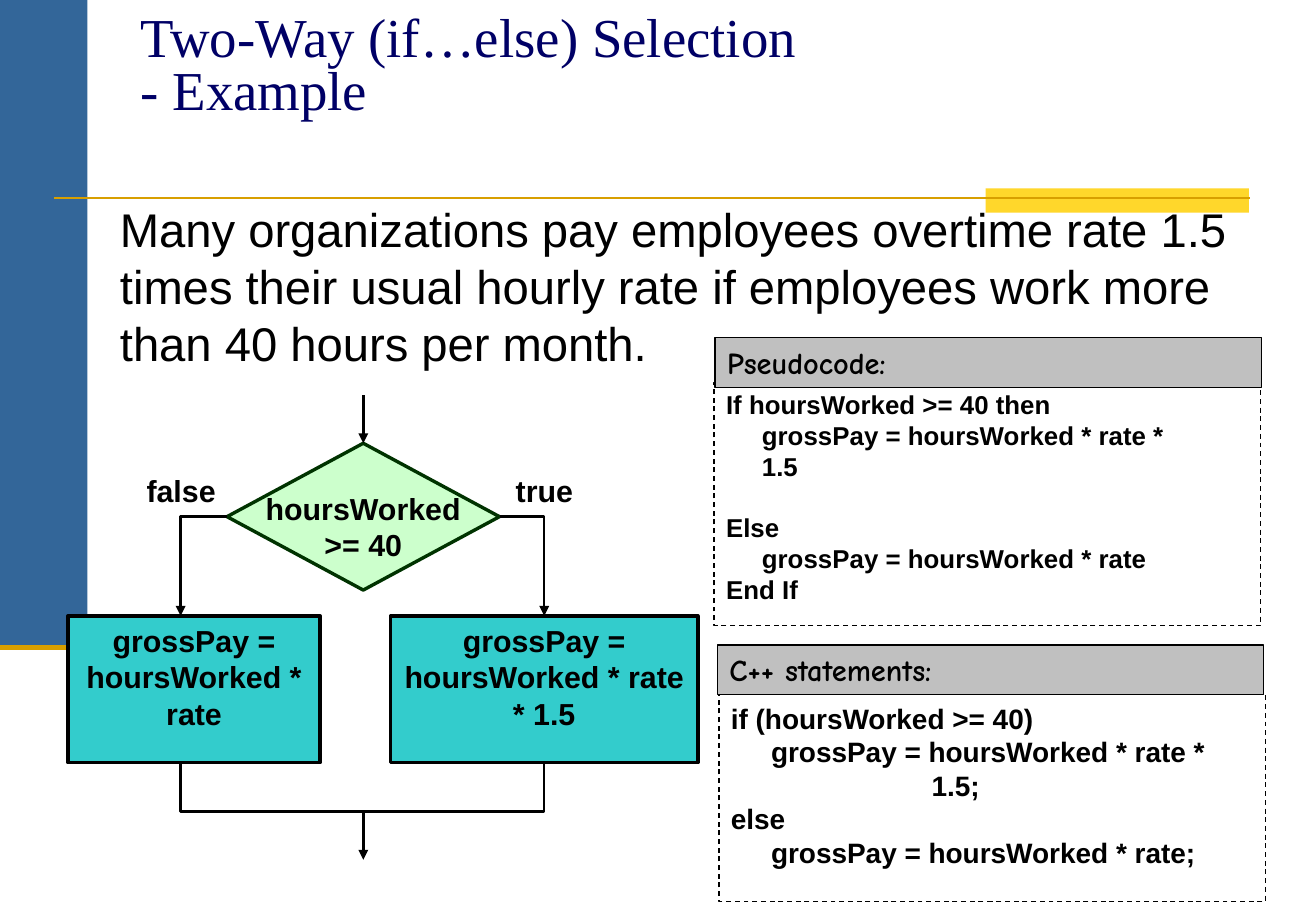
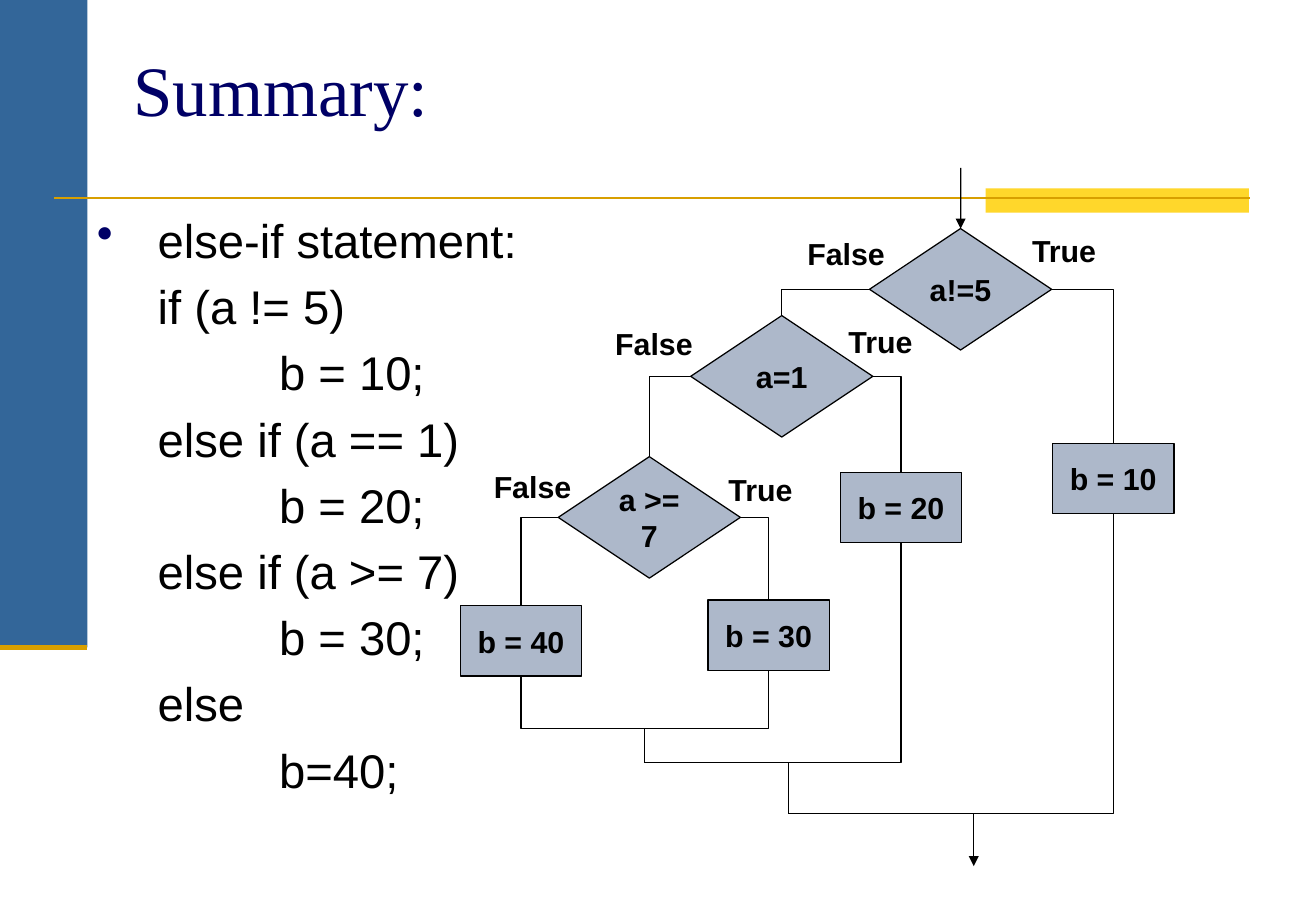
from lxml import etree
from pptx import Presentation
from pptx.dml.color import RGBColor
from pptx.enum import dml, shapes, text
from pptx.oxml.ns import qn
from pptx.util import Cm, Pt

BLACK = RGBColor(0x00, 0x00, 0x00)
WHITE = RGBColor(0xFF, 0xFF, 0xFF)
NAVY = RGBColor(0x00, 0x00, 0x66)
BLUE = RGBColor(0x33, 0x66, 0x99)
YELLOW = RGBColor(0xFF, 0xD7, 0x2B)
GOLD = RGBColor(0xD8, 0x9F, 0x00)
PALE_GREEN = RGBColor(0xCC, 0xFF, 0xCC)
DARK_GREEN = RGBColor(0x00, 0x33, 0x00)
TEAL = RGBColor(0x33, 0xCC, 0xCC)
GREY = RGBColor(0xC0, 0xC0, 0xC0)
STEEL = RGBColor(0xAD, 0xB8, 0xCA)

RECT = shapes.MSO_SHAPE.RECTANGLE
DIAMOND = shapes.MSO_SHAPE.FLOWCHART_DECISION
TOP, MIDDLE = text.MSO_ANCHOR.TOP, text.MSO_ANCHOR.MIDDLE
LEFT, CENTER = text.PP_ALIGN.LEFT, text.PP_ALIGN.CENTER


def put(s, words, at, kind=None, fill=None, line=None, width=0.75, dash=False,
        size=18, bold=True, font="Arial", color=BLACK, align=LEFT, anchor=TOP,
        wrap=True, top=0.13, spacing=None, before=0, step=0, gaps=(), bullet=False):
    """Place a title, text box or shape; leading tabs in a line set its indent."""
    at = [Cm(v) for v in at]
    if kind == "title":
        sp = s.shapes.title
        sp.left, sp.top, sp.width, sp.height = at
    elif kind is None:
        sp = s.shapes.add_textbox(*at)
    else:
        sp = s.shapes.add_shape(kind, *at)
        sp.shadow.inherit = False
        sp.fill.solid()
        sp.fill.fore_color.rgb = fill
        if line is None:
            sp.line.fill.background()
        else:
            sp.line.color.rgb = line
            sp.line.width = Pt(width)
            if dash:
                sp.line.dash_style = dml.MSO_LINE.DASH
    tf = sp.text_frame
    tf.auto_size = text.MSO_AUTO_SIZE.NONE
    tf.word_wrap, tf.vertical_anchor, tf.margin_top = wrap, anchor, Cm(top)
    for i, row in enumerate(words.split("\n") if words else []):
        p = tf.add_paragraph() if i else tf.paragraphs[0]
        p.alignment = align
        p.space_before = Pt(dict(gaps).get(i, before) if i else 0)
        if spacing:
            p.line_spacing = spacing
        pPr = p._p.get_or_add_pPr()
        level = len(row) - len(row.lstrip("\t"))
        pPr.set("marL", str(Cm(step * level)))
        pPr.set("indent", "0")
        if bullet and i == 0:
            pPr.set("indent", str(-Cm(step)))
            clr = etree.SubElement(pPr, qn("a:buClr"))
            etree.SubElement(clr, qn("a:srgbClr"), val=str(NAVY))
            etree.SubElement(pPr, qn("a:buChar"), char="•")
        r = p.add_run()
        r.text = row.lstrip("\t")
        r.font.size, r.font.bold, r.font.name = Pt(size), bold, font
        r.font.color.rgb = color
    return sp


def link(s, start, end, width=0.75, color=BLACK, arrow=False, elbow=False):
    """Join two ends, each (x, y) in cm or (shape, side); elbows leave sideways."""
    ends = [e if isinstance(e[0], (int, float)) else None for e in (start, end)]
    (x1, y1), (x2, y2) = [e or (0, 0) for e in ends]
    c = s.shapes.add_connector(shapes.MSO_CONNECTOR.STRAIGHT,
                               Cm(x1), Cm(y1), Cm(x2), Cm(y2))
    if ends[0] is None:
        c.begin_connect(*start)
    if ends[1] is None:
        c.end_connect(*end)
    c.line.color.rgb = color
    c.line.width = Pt(width)
    spPr = c._element.spPr
    if elbow:
        spPr.find(qn("a:prstGeom")).set("prst", "bentConnector2")
    if arrow:
        etree.SubElement(spPr.find(qn("a:ln")), qn("a:tailEnd"), type="triangle")
    etree.SubElement(spPr, qn("a:effectLst"))
    return c


prs = Presentation()
prs.slide_width, prs.slide_height = Cm(27.53), Cm(19.05)
layout = prs.slide_layouts[5]
title = dict(kind="title", font="Times New Roman", color=NAVY, bold=False)

# Bands and rules, kept on the layout that both slides use
for ph in list(layout.placeholders)[1:]:
    ph._element.getparent().remove(ph._element)
s = prs.slides.add_slide(layout)
for part in (
    put(s, "", (0, 0, 1.83, 13.54), RECT, BLUE),
    put(s, "", (20.62, 3.94, 5.51, 0.51), RECT, YELLOW),
    link(s, (1.14, 4.14), (26.14, 4.14), 1.5, GOLD),
    link(s, (0, 13.54), (1.83, 13.54), 3.5, GOLD),
):
    layout.shapes._spTree.append(part._element)

# Slide 1: title and task
put(s, "Two-Way (if…else) Selection\n- Example", (2.69, 0.2, 23.39, 3.18),
    size=32.5, spacing=0.8, **title)
put(s, "Many organizations pay employees overtime rate 1.5 times their usual "
    "hourly rate if employees work more than 40 hours per month.",
    (2.26, 4.06, 24.13, 7.62), size=28, bold=False)

# Slide 1: flowchart
test = put(s, "hoursWorked\n>= 40", (4.75, 9.27, 5.7, 3.07), DIAMOND, PALE_GREEN,
           DARK_GREEN, 2, align=CENTER, anchor=MIDDLE, wrap=False, top=0.53)
for label, x in (("false", 2.84), ("true", 10.44)):
    put(s, label, (x, 9.75, 1.9, 1.02), align=CENTER, wrap=False)
action = dict(kind=RECT, fill=TEAL, line=BLACK, width=2, align=CENTER)
put(s, "grossPay = hoursWorked * rate", (1.42, 12.88, 5.28, 3.07), **action)
overtime = put(s, "grossPay =\nhoursWorked * rate * 1.5",
               (8.17, 12.88, 6.43, 3.07), **action)
link(s, (7.6, 8.26), (test, 0), 1.5, arrow=True)
for side, into, out in ((1, (3.78, 12.88), (3.78, 15.95)),
                        (3, (overtime, 0), (overtime, 2))):
    link(s, (test, side), into, 1.5, arrow=True, elbow=True)
    link(s, (7.6, 16.97), out, 1.5, elbow=True)
link(s, (7.6, 16.97), (7.6, 17.98), 1.5, arrow=True)

# Slide 1: code panels
code = dict(kind=RECT, fill=WHITE, line=BLACK, dash=True)
put(s, "If hoursWorked >= 40 then\n\tgrossPay = hoursWorked * rate *\n\t1.5\n"
    "Else\n\tgrossPay = hoursWorked * rate\nEnd If",
    (14.94, 8, 11.43, 5.08), size=15.3, step=0.75, gaps=[(3, 18)], **code)
put(s, "if (hoursWorked >= 40)\n\tgrossPay = hoursWorked * rate *\n\t\t\t\t\t1.5;\n"
    "else\n\tgrossPay = hoursWorked * rate;",
    (15.04, 14.53, 11.43, 4.32), size=16.6, step=0.84, **code)
for heading, x, y in (("Pseudocode:", 14.96, 7.06), ("C++ statements:", 15.01, 13.49)):
    put(s, heading, (x, y, 11.43, 1.04), RECT, GREY, BLACK, font="Comic Neue")

# Slide 2: title and code
s = prs.slides.add_slide(layout)
put(s, "Summary:", (2.54, 0.99, 24.56, 1.7), size=42, anchor=MIDDLE, **title)
put(s, "\telse-if statement:\n\tif (a != 5)\n\t\t\tb = 10;\n\telse if (a == 1)\n"
    "\t\t\tb = 20;\n\telse if (a >= 7)\n\t\t\tb = 30;\n\telse\n\t\t\tb=40;",
    (1.78, 4.29, 14.17, 13.77), size=28, bold=False, before=5.6, step=1.27, bullet=True)

# Slide 2: tests, results and branch labels
node = dict(fill=STEEL, line=BLACK, align=CENTER, anchor=MIDDLE)
tests = [put(s, words, (x, y, 3.81, 2.54), DIAMOND, **node) for words, x, y in (
    ("a!=5", 18.19, 4.78), ("a=1", 14.45, 6.6), ("a >= 7", 11.68, 9.55))]
results = [put(s, words, (x, y, 2.54, 1.47), RECT, **node) for words, x, y in (
    ("b = 10", 22.02, 9.27), ("b = 20", 17.58, 9.88),
    ("b = 30", 14.81, 12.55), ("b = 40", 9.63, 12.67))]
for label, x, y in (("True", 21.34, 4.72), ("False", 16.64, 4.78),
                    ("True", 17.5, 6.63), ("False", 12.62, 6.68),
                    ("True", 14.99, 9.73), ("False", 10.08, 9.65)):
    put(s, label, (x, y, 2.13, 1.02), wrap=False)

# Slide 2: branches out of each test, then the joins below
link(s, (20.1, 3.51), (tests[0], 0), arrow=True)
for i, check in enumerate(tests):
    link(s, (check, 3), (results[i], 0), elbow=True)
    link(s, (check, 1), ((tests + results[3:])[i + 1], 0), elbow=True)
for result, x, y in zip(results, (16.5, 13.49, 13.49, 13.49), (17.02, 15.95, 15.24, 15.24)):
    link(s, (x, y), (result, 2), elbow=True)
for x, y, drop in ((13.49, 15.24, 0.71), (16.5, 15.95, 1.07)):
    link(s, (x, y), (x, y + drop))
link(s, (20.37, 17.02), (20.37, 18.11), arrow=True)

prs.save("out.pptx")
